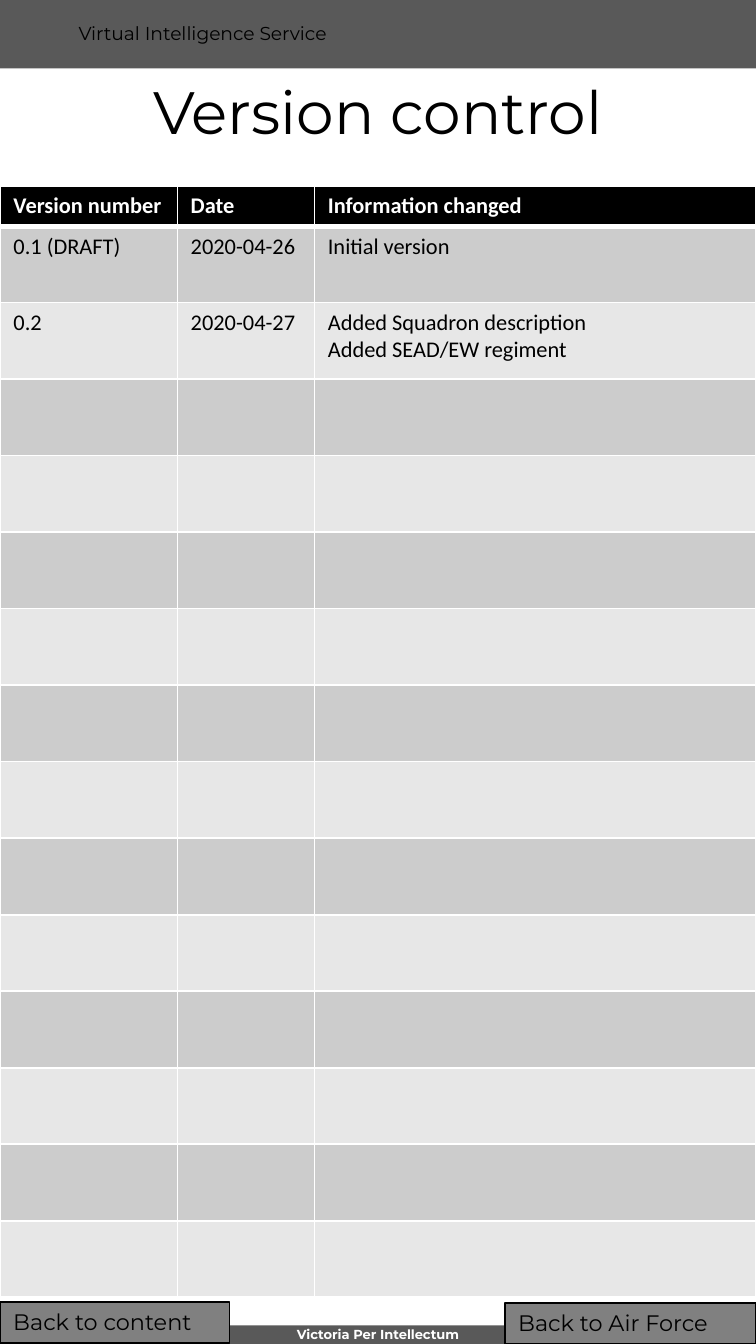
from lxml.etree import SubElement
from pptx import Presentation
from pptx.dml.color import RGBColor
from pptx.enum.shapes import MSO_SHAPE as Preset
from pptx.enum.text import MSO_ANCHOR as Anchor, PP_ALIGN as Align
from pptx.oxml.ns import qn
from pptx.util import Pt

WIDTH, HEIGHT = 405, 720
BLACK, WHITE = "000000", "FFFFFF"
BAR_GRAY, BUTTON_GRAY = "595959", "808080"
BAND_COLORS = ("CCCCCC", "E7E7E7")

COLUMN_WIDTHS = (95, 73.5, 236.5)
HEADER_HEIGHT, ROW_HEIGHT = 21.6, 41
VERSION_ROWS = 14
HEADINGS = ("Version number", "Date", "Information changed")
VERSIONS = [
    ("0.1 (DRAFT)", "2020-04-26", "Initial version"),
    ("0.2", "2020-04-27", "Added Squadron description\nAdded SEAD/EW regiment"),
]


def color(hex_string):
    return RGBColor.from_string(hex_string)


def write_text(frame, text, size=12, font="Montserrat", text_color=BLACK,
               bold=False, align=Align.LEFT):
    """Fill a text frame, one paragraph for each line of text."""
    frame.text = text
    for paragraph in frame.paragraphs:
        paragraph.alignment = align
        for run in paragraph.runs:
            run.font.size = Pt(size)
            run.font.name = font
            run.font.bold = bold
            run.font.color.rgb = color(text_color)


def add_text(slide, box, text, anchor=Anchor.TOP, margin=None, **text_format):
    frame = slide.shapes.add_textbox(*map(Pt, box)).text_frame
    frame.word_wrap = True
    frame.vertical_anchor = anchor
    if margin is not None:
        frame.margin_left = frame.margin_right = Pt(margin)
        frame.margin_top = frame.margin_bottom = Pt(margin)
    write_text(frame, text, **text_format)


def add_rectangle(slide, box, fill, line=None):
    shape = slide.shapes.add_shape(Preset.RECTANGLE, *map(Pt, box))
    shape.shadow.inherit = False
    shape.fill.solid()
    shape.fill.fore_color.rgb = color(fill)
    if line:
        shape.line.color.rgb = color(line)
        shape.line.width = Pt(1)
    else:
        shape.line.fill.background()
    return shape


def add_button(slide, box, text):
    frame = add_rectangle(slide, box, BUTTON_GRAY, BLACK).text_frame
    frame.word_wrap = True
    frame.vertical_anchor = Anchor.TOP
    write_text(frame, text)


def set_borders(cell, top=1, bottom=1):
    """Draw white cell borders; top and bottom are widths in points."""
    properties = cell._tc.get_or_add_tcPr()
    for side, width in (("L", 1), ("R", 1), ("T", top), ("B", bottom)):
        line = SubElement(properties, qn(f"a:ln{side}"), w=str(Pt(width)))
        fill = SubElement(line, qn("a:solidFill"))
        SubElement(fill, qn("a:srgbClr"), val=WHITE)


def add_version_table(slide, left, top):
    table = slide.shapes.add_table(
        VERSION_ROWS + 1, len(COLUMN_WIDTHS), Pt(left), Pt(top),
        Pt(WIDTH), Pt(HEADER_HEIGHT + VERSION_ROWS * ROW_HEIGHT)).table
    for column, width in zip(table.columns, COLUMN_WIDTHS):
        column.width = Pt(width)

    contents = [HEADINGS, *VERSIONS]
    for row_index, row in enumerate(table.rows):
        is_header = row_index == 0
        row.height = Pt(HEADER_HEIGHT if is_header else ROW_HEIGHT)
        fill = BLACK if is_header else BAND_COLORS[(row_index - 1) % 2]
        for cell in row.cells:
            set_borders(cell, top=3 if row_index == 1 else 1,
                        bottom=3 if is_header else 1)
            cell.fill.solid()
            cell.fill.fore_color.rgb = color(fill)
        if row_index < len(contents):
            for cell, text in zip(row.cells, contents[row_index]):
                write_text(cell.text_frame, text, font="Calibri", bold=is_header,
                           text_color=WHITE if is_header else BLACK)


def main():
    presentation = Presentation()
    presentation.slide_width, presentation.slide_height = Pt(WIDTH), Pt(HEIGHT)
    slide = presentation.slides.add_slide(presentation.slide_layouts[6])

    add_rectangle(slide, (0, 0, WIDTH, 36.7), BAR_GRAY)
    add_rectangle(slide, (0, 710, WIDTH, 10), BAR_GRAY)
    add_text(slide, (35, 8, 278, 19.4), "Virtual Intelligence Service", size=10)
    add_text(slide, (0, 710.5, WIDTH, 8.5), "Victoria Per Intellectum", margin=0,
             size=7, text_color=WHITE, bold=True, align=Align.CENTER)
    add_text(slide, (0, 36.7, WIDTH, 45.5), "Version control",
             anchor=Anchor.MIDDLE, size=32, align=Align.CENTER)
    add_button(slide, (0, 697.5, 123, 21.8), "Back to content")
    add_button(slide, (270.5, 698, 134.5, 21.8), "Back to Air Force")
    add_version_table(slide, 0, 99.5)

    presentation.save("out.pptx")


if __name__ == "__main__":
    main()
